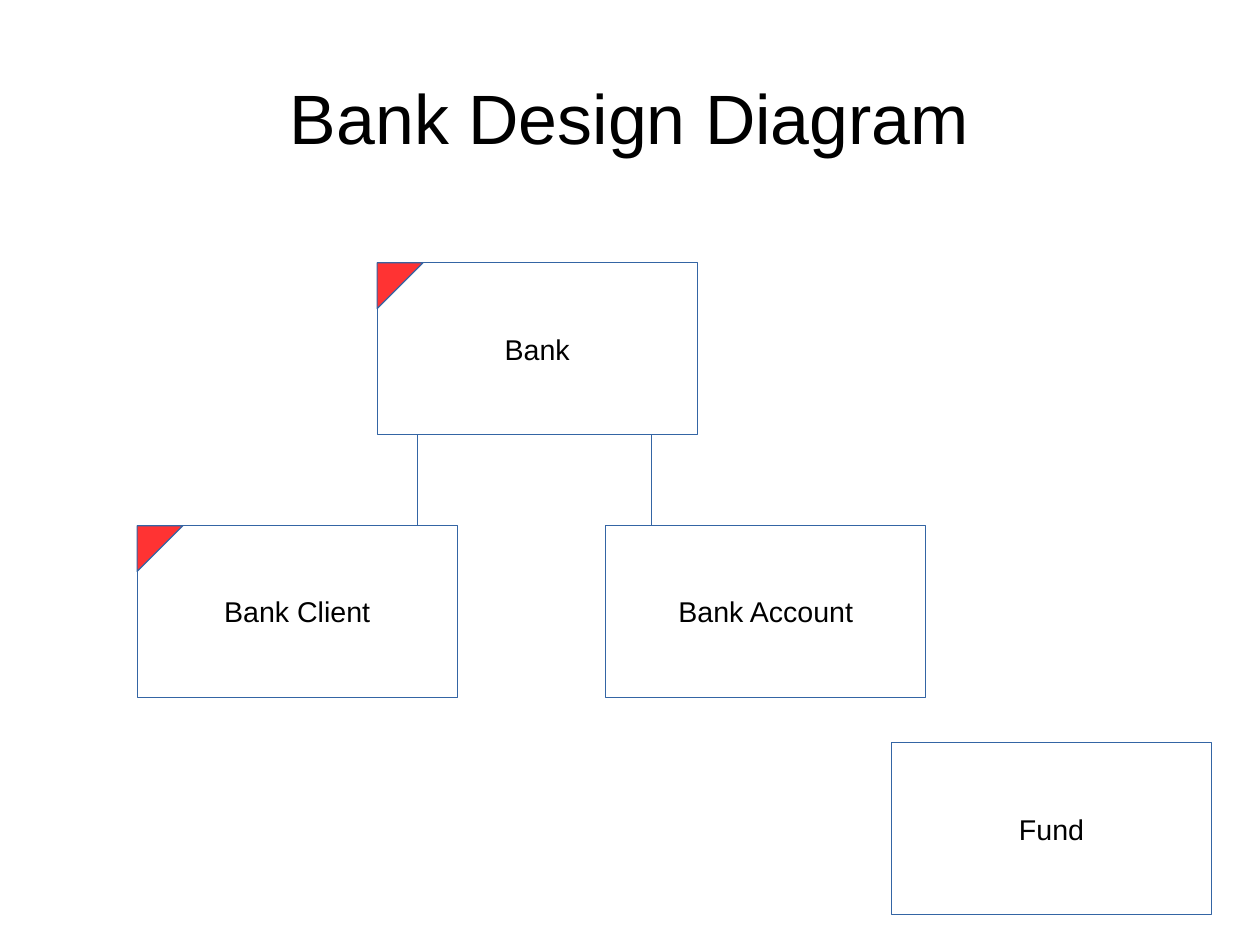
from lxml import etree
from pptx import Presentation
from pptx import util as u
from pptx.dml.color import RGBColor
from pptx.enum import shapes, text
from pptx.oxml.ns import qn

SLIDE_W, SLIDE_H = u.Cm(28), u.Cm(21)
CELL = 0.1
BOX_COLS, BOX_ROWS, CORNER = 28, 15, 4
BLUE, RED, WHITE, BLACK = "3465A4", "FF3333", "FFFFFF", "000000"


def color(value):
    return RGBColor.from_string(value)


def grid(*cells):
    return [u.Inches(n * CELL) for n in cells]


def outline(sp):
    sp.line.color.rgb = color(BLUE)
    sp.line.width = u.Pt(0.75)


def paint(sp, fill):
    sp.shadow.inherit = False
    sp.fill.solid()
    sp.fill.fore_color.rgb = color(fill)
    outline(sp)


def write(tf, words, size=18, wrap=False, margins=(0.1, 0.05)):
    tf.word_wrap = wrap
    tf.vertical_anchor = text.MSO_ANCHOR.MIDDLE
    tf.margin_left = tf.margin_right = u.Inches(margins[0])
    tf.margin_top = tf.margin_bottom = u.Inches(margins[1])
    p = tf.paragraphs[0]
    p.alignment = text.PP_ALIGN.CENTER
    r = p.add_run()
    r.text = words
    r.font.name = "Arial"
    r.font.size = u.Pt(size)
    r.font.color.rgb = color(BLACK)


def add_title(s, words, left, top, width, height):
    sp = s.shapes.add_textbox(
        int(left * SLIDE_W), int(top * SLIDE_H),
        int(width * SLIDE_W), int(height * SLIDE_H))
    write(sp.text_frame, words, size=44, wrap=True, margins=(0, 0))


def add_class_box(s, name, col, row):
    sp = s.shapes.add_shape(
        shapes.MSO_SHAPE.RECTANGLE, *grid(col, row, BOX_COLS, BOX_ROWS))
    paint(sp, WHITE)
    write(sp.text_frame, name)


def add_corner(s, col, row):
    builder = s.shapes.build_freeform(*grid(col, row + CORNER))
    builder.add_line_segments(
        [grid(col + CORNER, row), grid(col, row)], close=True)
    paint(builder.convert_to_shape(), RED)


def add_link(s, parent, child):
    start = grid(parent[0] + BOX_COLS / 2, parent[1] + BOX_ROWS)
    end = grid(child[0] + BOX_COLS / 2, child[1])
    cn = s.shapes.add_connector(shapes.MSO_CONNECTOR.ELBOW, *start, *end)
    outline(cn)
    etree.SubElement(cn._element.spPr, qn("a:effectLst"))


def add_diagram(s, boxes, links, marked):
    for name, cell in boxes.items():
        add_class_box(s, name, *cell)
    for parent, child in links:
        add_link(s, boxes[parent], boxes[child])
    for name in marked:
        add_corner(s, *boxes[name])


prs = Presentation()
prs.slide_width, prs.slide_height = SLIDE_W, SLIDE_H
s = prs.slides.add_slide(prs.slide_layouts[6])
add_title(s, "Bank Design Diagram", 0.05, 0.04, 0.9, 1 / 6)
add_diagram(
    s,
    boxes={"Bank": (33, 23), "Bank Client": (12, 46),
           "Bank Account": (53, 46), "Fund": (78, 65)},
    links=[("Bank", "Bank Client"), ("Bank", "Bank Account")],
    marked=["Bank Client", "Bank"])
prs.save("out.pptx")
